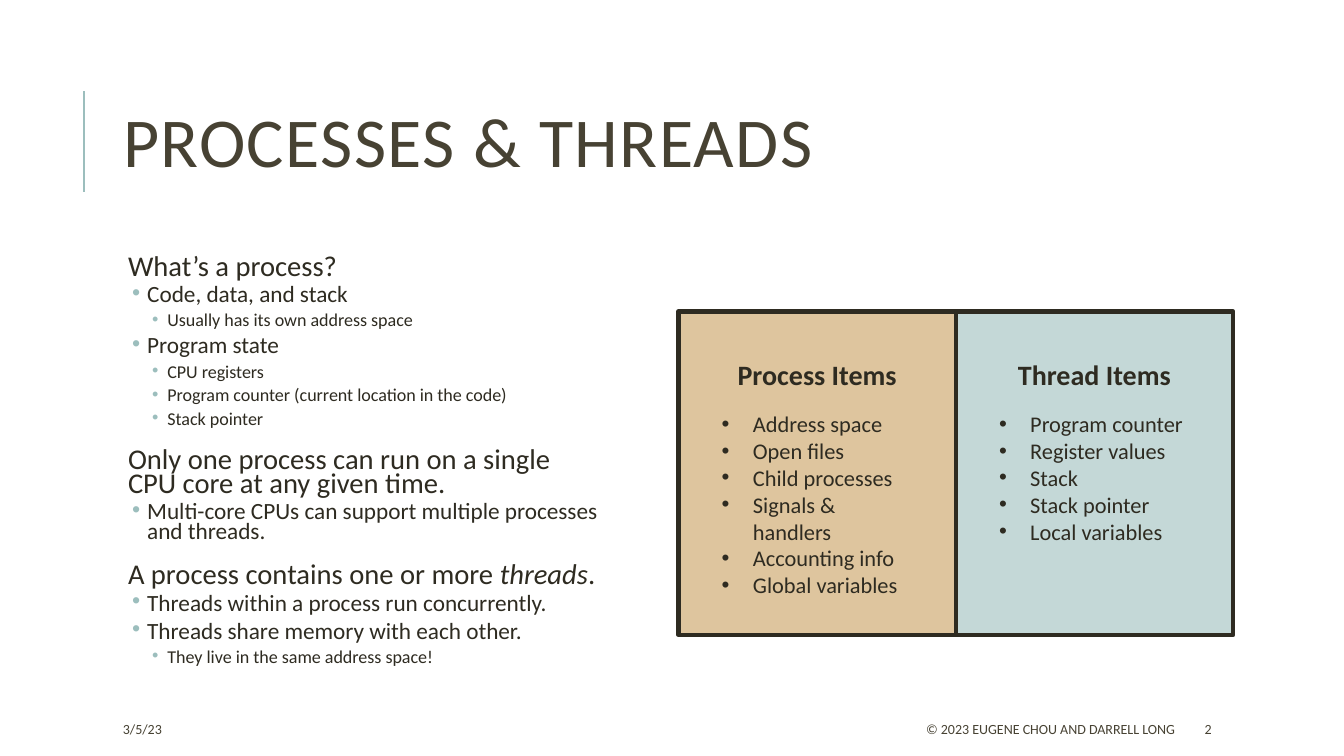
from dataclasses import dataclass

from lxml.etree import SubElement
from pptx import Presentation
from pptx.dml.color import RGBColor
from pptx.enum.shapes import MSO_CONNECTOR as CONN, MSO_SHAPE as SHAPE
from pptx.enum.text import MSO_ANCHOR as ANCHOR, MSO_AUTO_SIZE as AUTO, PP_ALIGN as ALIGN
from pptx.oxml.ns import qn
from pptx.util import Inches, Pt


@dataclass(frozen=True)
class Theme:
    font: str = "Calibri"
    ink: str = "2E2B21"
    brown: str = "474233"
    teal: str = "9CBEBD"
    sand: str = "DEC59E"
    mist: str = "C4D8D7"
    title: float = 50
    heading: float = 20
    item: float = 16
    footer: float = 10


@dataclass(frozen=True)
class Level:
    size: float
    left: float
    hang: float
    before: float
    after: float


@dataclass(frozen=True)
class Point:
    level: int
    text: str
    emphasis: str = ""
    tail: str = ""


@dataclass(frozen=True)
class Panel:
    heading: str
    fill: str
    items: tuple[str, ...]


@dataclass(frozen=True)
class Footer:
    text: str
    left: float
    width: float
    align: ALIGN = ALIGN.LEFT


THEME = Theme()
LEVELS = (
    Level(20.4, 0.1, 0, 12, 2),
    Level(16.6, 0.29, 0.15, 2, 4),
    Level(12.9, 0.49, 0.15, 2, 4),
)
POINTS = (
    Point(0, "What’s a process?"),
    Point(1, "Code, data, and stack"),
    Point(2, "Usually has its own address space"),
    Point(1, "Program state"),
    Point(2, "CPU registers"),
    Point(2, "Program counter (current location in the code)"),
    Point(2, "Stack pointer"),
    Point(0, "Only one process can run on a single CPU core at any given time."),
    Point(1, "Multi-core CPUs can support multiple processes and threads."),
    Point(0, "A process contains one or more ", "threads", "."),
    Point(1, "Threads within a process run concurrently."),
    Point(1, "Threads share memory with each other."),
    Point(2, "They live in the same address space!"),
)
PANELS = (
    Panel("Process Items", THEME.sand,
          ("Address space", "Open files", "Child processes", "Signals & handlers",
           "Accounting info", "Global variables")),
    Panel("Thread Items", THEME.mist,
          ("Program counter", "Register values", "Stack", "Stack pointer", "Local variables")),
)
FOOTERS = (
    Footer("3/5/23", 1.12, 2.36),
    Footer("© 2023 EUGENE CHOU AND DARRELL LONG", 5.3, 6.45, ALIGN.RIGHT),
    Footer("2", 11.85, 1.06),
)
PANEL_LEFT, PANEL_TOP, PANEL_WIDTH, PANEL_HEIGHT = 6.73, 3.09, 2.75, 3.21


def rgb(color: str) -> RGBColor:
    return RGBColor.from_string(color)


def add_run(p, text: str, size: float, color: str, bold: bool = False, italic: bool = False):
    r = p.add_run()
    r.text = text
    font = r.font
    font.name, font.size = THEME.font, Pt(size)
    font.bold, font.italic = bold, italic
    font.color.rgb = rgb(color)
    return r


def set_indent(p, left: float, hang: float, bullet_color: str) -> None:
    pPr = p._p.get_or_add_pPr()
    pPr.set("marL", str(Inches(left)))
    pPr.set("indent", str(-Inches(hang)))
    if hang:
        color = SubElement(pPr, qn("a:buClr"))
        SubElement(color, qn("a:srgbClr"), val=bullet_color)
        SubElement(pPr, qn("a:buFont"), typeface="Arial")
        SubElement(pPr, qn("a:buChar"), char="•")


def add_text_box(s, left: float, top: float, width: float, height: float):
    tf = s.shapes.add_textbox(Inches(left), Inches(top), Inches(width), Inches(height)).text_frame
    tf.word_wrap = True
    return tf


def next_paragraph(tf, index: int):
    return tf.add_paragraph() if index else tf.paragraphs[0]


def add_title(s, text: str) -> None:
    title = s.shapes.title
    title.left, title.top = Inches(1.12), Inches(0.64)
    title.width, title.height = Inches(10.63), Inches(1.64)
    tf = title.text_frame
    tf.auto_size, tf.vertical_anchor = AUTO.NONE, ANCHOR.MIDDLE
    p = tf.paragraphs[0]
    p.alignment, p.line_spacing = ALIGN.LEFT, 0.8
    r = add_run(p, text, THEME.title, THEME.brown)
    r.font._element.set("spc", "100")


def add_accent(s) -> None:
    line = s.shapes.add_connector(CONN.STRAIGHT, Inches(0.83), Inches(1.9), Inches(0.83), Inches(0.9))
    line.line.color.rgb = rgb(THEME.teal)
    line.line.width = Pt(1.5)
    SubElement(line._element.spPr, qn("a:effectLst"))


def add_outline(s, points: tuple[Point, ...]) -> None:
    tf = add_text_box(s, 1.12, 2.5, 4.93, 4.4)
    tf.margin_left = tf.margin_right = tf.margin_top = tf.margin_bottom = Inches(0.05)
    for i, point in enumerate(points):
        level = LEVELS[point.level]
        p = next_paragraph(tf, i)
        p.level = point.level
        set_indent(p, level.left, level.hang, THEME.teal)
        p.line_spacing = 0.7
        p.space_before, p.space_after = Pt(level.before if i else 0), Pt(level.after)
        add_run(p, point.text, level.size, THEME.ink)
        if point.emphasis:
            add_run(p, point.emphasis, level.size, THEME.ink, italic=True)
            add_run(p, point.tail, level.size, THEME.ink)


def add_panel(s, panel: Panel, left: float) -> None:
    sp = s.shapes.add_shape(SHAPE.RECTANGLE, Inches(left), Inches(PANEL_TOP),
                            Inches(PANEL_WIDTH), Inches(PANEL_HEIGHT))
    sp.shadow.inherit = False
    sp.fill.solid()
    sp.fill.fore_color.rgb = rgb(panel.fill)
    sp.line.color.rgb = rgb(THEME.ink)
    sp.line.width = Pt(3)
    tf = sp.text_frame
    tf.vertical_anchor, tf.margin_top = ANCHOR.TOP, Inches(0.46)
    p = tf.paragraphs[0]
    p.alignment = ALIGN.CENTER
    add_run(p, panel.heading, THEME.heading, THEME.ink, bold=True)

    # Bulleted items under the heading
    tf = add_text_box(s, left + 0.33, PANEL_TOP + 0.93, 2.08, 2.28)
    for i, item in enumerate(panel.items):
        p = next_paragraph(tf, i)
        set_indent(p, 0.31, 0.31, THEME.ink)
        add_run(p, item, THEME.item, THEME.ink)


def add_footer(s, footer: Footer) -> None:
    tf = add_text_box(s, footer.left, 7.08, footer.width, 0.3)
    tf.vertical_anchor = ANCHOR.MIDDLE
    p = tf.paragraphs[0]
    p.alignment = footer.align
    add_run(p, footer.text, THEME.footer, THEME.brown)


def main() -> None:
    prs = Presentation()
    prs.slide_width, prs.slide_height = Inches(13.33), Inches(7.5)
    s = prs.slides.add_slide(prs.slide_layouts.get_by_name("Title Only"))

    # Title and outline
    add_accent(s)
    add_title(s, "PROCESSES & THREADS")
    add_outline(s, POINTS)

    # Side-by-side panels
    for i, panel in enumerate(PANELS):
        add_panel(s, panel, PANEL_LEFT + i * PANEL_WIDTH)

    # Footer line
    for footer in FOOTERS:
        add_footer(s, footer)
    prs.save("out.pptx")


if __name__ == "__main__":
    main()
